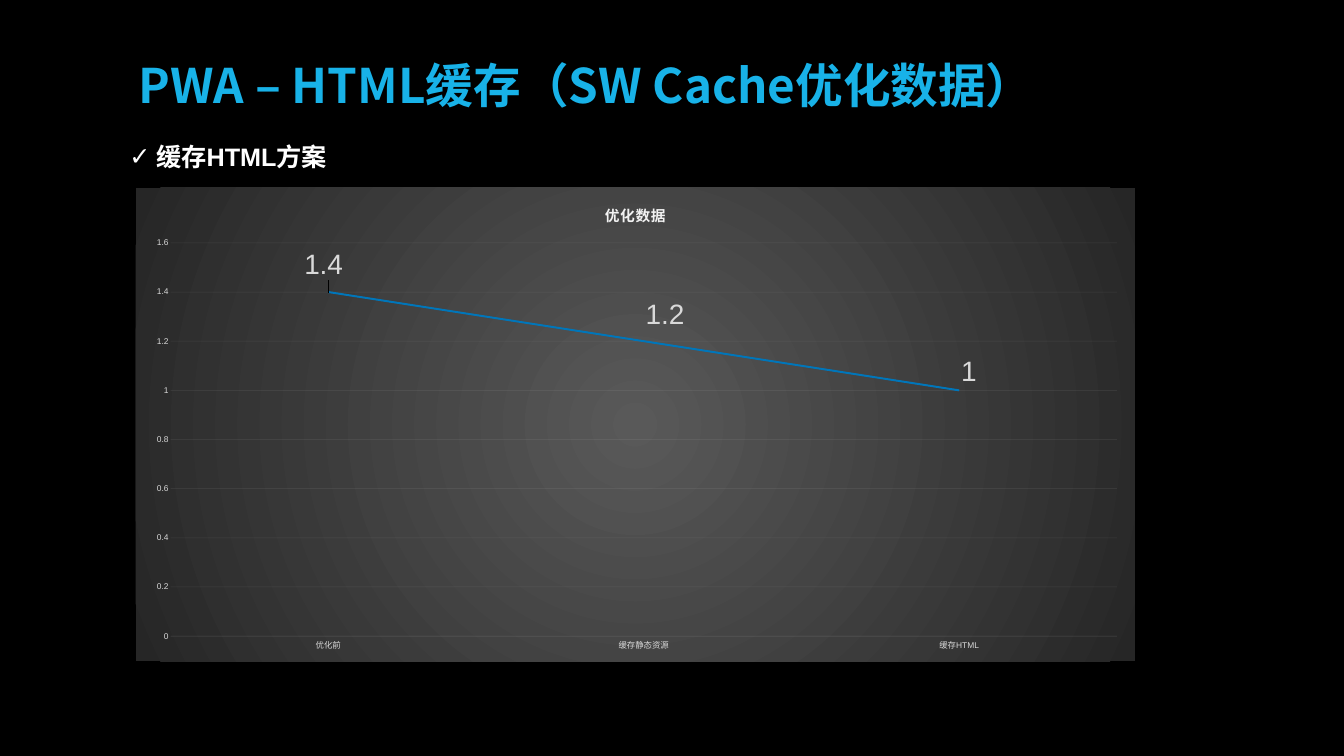
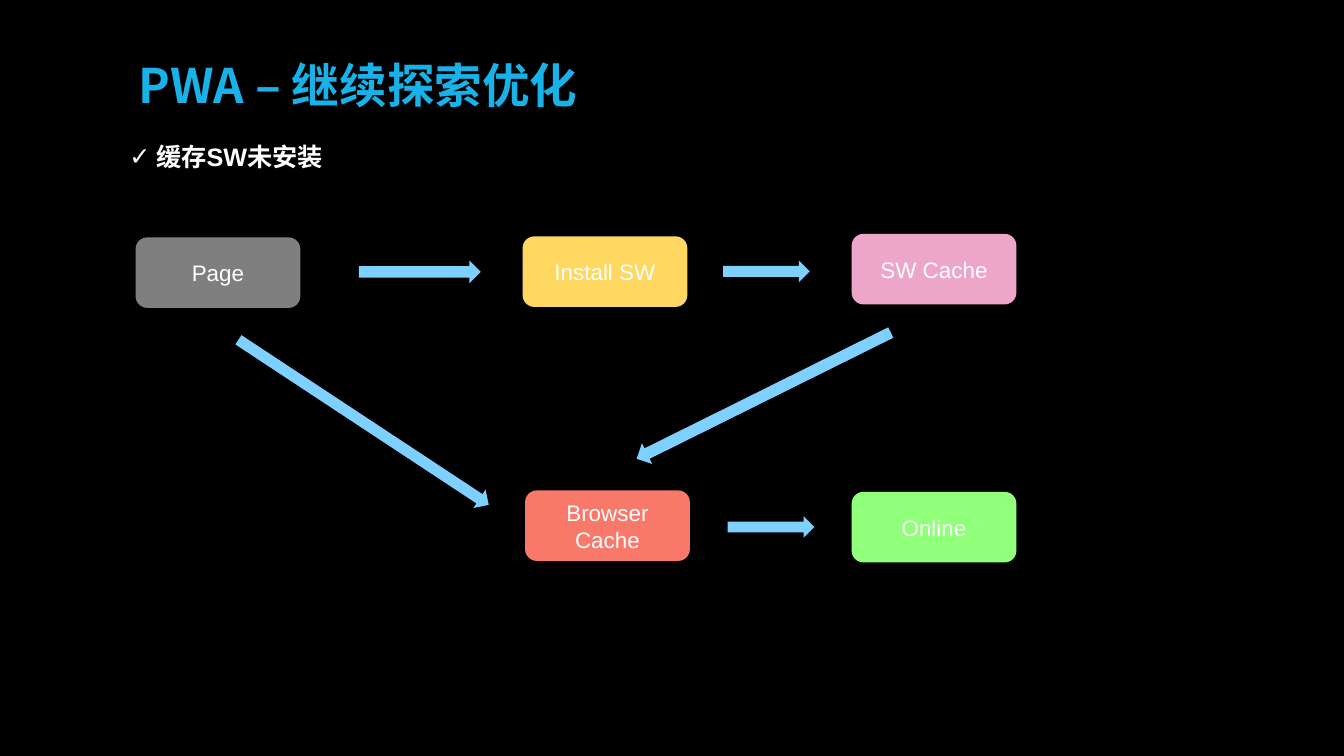
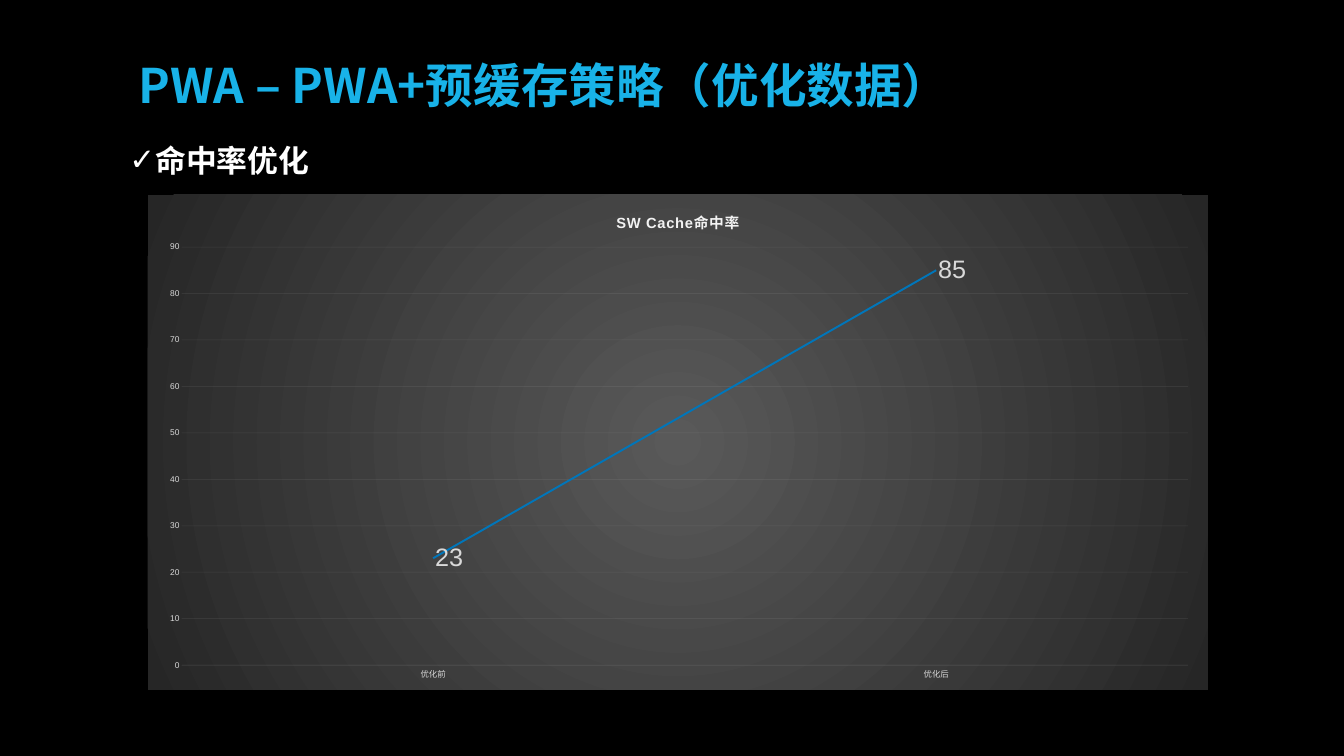
from dataclasses import dataclass

from lxml import etree
from pptx import Presentation
from pptx.chart.data import CategoryChartData
from pptx.dml.color import RGBColor
from pptx.enum.chart import XL_CHART_TYPE, XL_LABEL_POSITION, XL_MARKER_STYLE, XL_TICK_MARK
from pptx.enum.shapes import MSO_SHAPE
from pptx.enum.text import MSO_ANCHOR, MSO_AUTO_SIZE, PP_ALIGN
from pptx.oxml import parse_xml
from pptx.oxml.ns import nsdecls, qn
from pptx.util import Inches, Pt

LINE_CHART = XL_CHART_TYPE.LINE
LABEL_RIGHT = XL_LABEL_POSITION.RIGHT
NO_MARKER = XL_MARKER_STYLE.NONE
NO_TICK = XL_TICK_MARK.NONE
ROUNDED = MSO_SHAPE.ROUNDED_RECTANGLE
ARROW = MSO_SHAPE.RIGHT_ARROW
MIDDLE = MSO_ANCHOR.MIDDLE
GROW = MSO_AUTO_SIZE.SHAPE_TO_FIT_TEXT
CENTER = PP_ALIGN.CENTER

BLACK = "000000"
WHITE = "FFFFFF"
TITLE_BLUE = "18B2E8"
ARROW_BLUE = "7DD0FF"
SERIES_BLUE = "0076BA"
LABEL_GRAY = "D9D9D9"
PALE_GRAY = "F2F2F2"
CHART_CENTER = "595959"
CHART_EDGE = "262626"

TITLE_FONT = "Noto Sans CJK SC"
BODY_FONT = "Arial"
INSET = 0.06
NODE_SIZE = (3.27, 1.4)


@dataclass
class Node:
    text: str
    left: float
    top: float
    color: str


@dataclass
class Arrow:
    left: float
    top: float
    width: float
    height: float
    rotation: float = 0


@dataclass
class LineChart:
    title: str
    box: tuple[float, float, float, float]
    plot_area: tuple[float, float, float, float]
    categories: list[str]
    values: list[float]
    axis_maximum: float
    axis_step: float
    label_size: int
    label_offsets: tuple[tuple[float, float], ...] = ()
    has_trend: bool = False


NODES = [
    Node("Page", 2.69, 4.71, "7F7F7F"),
    Node("Install SW", 10.37, 4.69, "FFD862"),
    Node("SW Cache", 16.9, 4.64, "EDA6CA"),
    Node("Online", 16.9, 9.76, "90FF7A"),
    Node("Browser Cache", 10.42, 9.73, "F8786A"),
]
ARROWS = [
    Arrow(4.24, 8.16, 5.95, 0.44, 33.4),
    Arrow(12.34, 7.62, 5.63, 0.46, 153.6),
    Arrow(14.35, 5.17, 1.72, 0.43),
    Arrow(14.44, 10.24, 1.72, 0.43),
    Arrow(7.12, 5.17, 2.42, 0.45),
]
LOAD_TIME = LineChart(
    "优化数据", (2.69, 3.73, 19.83, 9.39), (0.035, 0.116, 0.947, 0.831),
    ["优化前", "缓存静态资源", "缓存HTML"], [1.4, 1.2, 1], 1.6, 0.2, 40,
    label_offsets=((-0.026, -0.057), (0, -0.055), (0, -0.04)), has_trend=True,
)
HIT_RATE = LineChart(
    "SW Cache命中率", (2.93, 3.86, 21.04, 9.83), (0.032, 0.106, 0.949, 0.844),
    ["优化前", "优化后"], [23, 85], 90, 10, 36,
)


def rgb(color: str) -> RGBColor:
    return RGBColor.from_string(color)


def set_font(font, size: float, color: str, name: str = BODY_FONT, bold: bool = False) -> None:
    font.name = name
    font.size = Pt(size)
    font.bold = bold
    font.color.rgb = rgb(color)


def set_insets(frame) -> None:
    frame.margin_left = frame.margin_right = Inches(INSET)
    frame.margin_top = frame.margin_bottom = Inches(INSET)


def add_text_box(slide, left: float, top: float, width: float, height: float, text: str):
    box = slide.shapes.add_textbox(Inches(left), Inches(top), Inches(width), Inches(height))
    frame = box.text_frame
    frame.word_wrap = True
    frame.text = text
    return frame


def add_title(slide, text: str) -> None:
    frame = add_text_box(slide, 2.69, 1.07, 21.28, 1.43, text)
    set_insets(frame)
    frame.vertical_anchor = MIDDLE
    paragraph = frame.paragraphs[0]
    paragraph.line_spacing = 0.8
    set_font(paragraph.font, 68, TITLE_BLUE, TITLE_FONT, bold=True)


def add_check_item(slide, text: str, size: int, height: float) -> None:
    frame = add_text_box(slide, 2.47, 2.76, 9.45, height, text)
    frame.auto_size = GROW
    paragraph = frame.paragraphs[0]
    properties = paragraph._p.get_or_add_pPr()
    properties.set("marL", str(Inches(0.37)))
    properties.set("indent", str(-Inches(0.37)))
    bullet_color = etree.SubElement(properties, qn("a:buClr"))
    etree.SubElement(bullet_color, qn("a:srgbClr"), val=WHITE)
    etree.SubElement(properties, qn("a:buFont"), typeface=BODY_FONT)
    etree.SubElement(properties, qn("a:buChar"), char="✓")
    set_font(paragraph.font, size, WHITE, bold=True)


def add_filled_shape(slide, kind, left: float, top: float, width: float, height: float, color: str):
    shape = slide.shapes.add_shape(kind, Inches(left), Inches(top), Inches(width), Inches(height))
    shape.shadow.inherit = False
    shape.fill.solid()
    shape.fill.fore_color.rgb = rgb(color)
    shape.line.fill.background()
    return shape


def add_node(slide, node: Node) -> None:
    shape = add_filled_shape(slide, ROUNDED, node.left, node.top, *NODE_SIZE, node.color)
    frame = shape.text_frame
    set_insets(frame)
    frame.word_wrap = True
    frame.vertical_anchor = MIDDLE
    frame.text = node.text
    paragraph = frame.paragraphs[0]
    paragraph.alignment = CENTER
    set_font(paragraph.font, 32, WHITE)


def add_arrow(slide, arrow: Arrow) -> None:
    shape = add_filled_shape(
        slide, ARROW, arrow.left, arrow.top, arrow.width, arrow.height, ARROW_BLUE)
    shape.rotation = arrow.rotation


def manual_layout(inner: str, **fractions: float):
    values = "".join(f'<c:{key} val="{value}"/>' for key, value in fractions.items())
    return parse_xml(f'<c:layout {nsdecls("c")}><c:manualLayout>{inner}{values}'
                     '</c:manualLayout></c:layout>')


def place_plot_area(chart, plot_area: tuple[float, float, float, float]) -> None:
    area = chart.element.xpath("./c:chart/c:plotArea")[0]
    for layout in area.findall(qn("c:layout")):
        area.remove(layout)
    x, y, w, h = plot_area
    inner = ('<c:layoutTarget val="inner"/><c:xMode val="edge"/><c:yMode val="edge"/>')
    area.insert(0, manual_layout(inner, x=x, y=y, w=w, h=h))


def fill_chart_background(chart) -> None:
    """Give the chart area a radial gradient, light in the middle."""
    chart.element.xpath("./c:chart")[0].addnext(parse_xml(
        f'<c:spPr {nsdecls("c", "a")}><a:gradFill><a:gsLst>'
        f'<a:gs pos="0"><a:srgbClr val="{CHART_CENTER}"/></a:gs>'
        f'<a:gs pos="100000"><a:srgbClr val="{CHART_EDGE}"/></a:gs></a:gsLst>'
        '<a:path path="circle"><a:fillToRect l="50000" t="50000" r="50000" b="50000"/></a:path>'
        '</a:gradFill><a:ln><a:noFill/></a:ln></c:spPr>'))


def add_trend_line(chart) -> None:
    chart.element.xpath(".//c:ser/c:cat")[0].addprevious(parse_xml(
        f'<c:trendline {nsdecls("c", "a")}><c:spPr><a:ln w="{Pt(1.5)}"><a:solidFill>'
        f'<a:srgbClr val="{SERIES_BLUE}"/></a:solidFill></a:ln></c:spPr>'
        '<c:trendlineType val="linear"/><c:dispRSqr val="0"/><c:dispEq val="0"/>'
        '</c:trendline>'))


def style_axes(chart, spec_maximum: float, step: float) -> None:
    category_axis, value_axis = chart.category_axis, chart.value_axis
    for axis in (category_axis, value_axis):
        axis.major_tick_mark = axis.minor_tick_mark = NO_TICK
        set_font(axis.tick_labels.font, 12, LABEL_GRAY)
    value_axis.minimum_scale = 0
    value_axis.maximum_scale = spec_maximum
    value_axis.major_unit = step
    value_axis.format.line.fill.background()
    value_axis.has_major_gridlines = True
    for line in (category_axis.format.line, value_axis.major_gridlines.format.line):
        line.width = Pt(0.75)
        line.color.rgb = rgb(PALE_GRAY)
    for color in chart.element.xpath(
            ".//c:majorGridlines//a:srgbClr | .//c:catAx/c:spPr//a:srgbClr"):
        etree.SubElement(color, qn("a:alpha"), val="10000")


def style_series(chart, label_size: int, offsets: tuple[tuple[float, float], ...]) -> None:
    """Style the line and its labels; offsets move single labels by chart fractions."""
    series = chart.plots[0].series[0]
    series.smooth = False
    series.marker.style = NO_MARKER
    series.format.line.width = Pt(2.75)
    series.format.line.color.rgb = rgb(SERIES_BLUE)
    labels = series.data_labels
    labels.show_value = True
    labels.position = LABEL_RIGHT
    set_font(labels.font, label_size, LABEL_GRAY)
    for index in range(len(offsets)):
        label = series.points[index].data_label
        set_font(label.font, label_size, LABEL_GRAY)
        label.position = LABEL_RIGHT
    for element, (x, y) in zip(chart.element.xpath(".//c:dLbl"), offsets):
        element[0].addnext(manual_layout("", x=x, y=y))


def add_line_chart(slide, line_chart: LineChart) -> None:
    data = CategoryChartData()
    data.categories = line_chart.categories
    data.add_series("Series 1", line_chart.values)
    box = [Inches(length) for length in line_chart.box]
    chart = slide.shapes.add_chart(LINE_CHART, *box, data).chart
    chart.has_legend = False
    chart.plots[0].vary_by_categories = False
    set_font(chart.font, 10, WHITE)
    chart.has_title = True
    frame = chart.chart_title.text_frame
    frame.text = line_chart.title
    title_font = frame.paragraphs[0].runs[0].font
    set_font(title_font, 21, PALE_GRAY, bold=True)
    for properties in chart.element.xpath("./c:chart/c:title//a:rPr"):
        properties.set("spc", "100")
    chart.chart_title.include_in_layout = False
    style_axes(chart, line_chart.axis_maximum, line_chart.axis_step)
    style_series(chart, line_chart.label_size, line_chart.label_offsets)
    place_plot_area(chart, line_chart.plot_area)
    fill_chart_background(chart)
    if line_chart.has_trend:
        add_trend_line(chart)


def add_slide(presentation, title: str, item: str, item_size: int = 36, item_height: float = 0.71):
    """Add a black slide with its title and checked heading."""
    slide = presentation.slides.add_slide(presentation.slide_layouts[6])
    slide.background.fill.solid()
    slide.background.fill.fore_color.rgb = rgb(BLACK)
    add_title(slide, title)
    add_check_item(slide, item, item_size, item_height)
    return slide


def main() -> None:
    presentation = Presentation()
    presentation.slide_width = Inches(26.67)
    presentation.slide_height = Inches(15)

    slide = add_slide(presentation, "PWA – HTML缓存（SW Cache优化数据）", " 缓存HTML方案")
    add_line_chart(slide, LOAD_TIME)

    slide = add_slide(presentation, "PWA – 继续探索优化", " 缓存SW未安装")
    for node in NODES:
        add_node(slide, node)
    for arrow in ARROWS:
        add_arrow(slide, arrow)

    slide = add_slide(presentation, "PWA – PWA+预缓存策略（优化数据）", "命中率优化", 44, 0.84)
    add_line_chart(slide, HIT_RATE)

    presentation.save("out.pptx")


if __name__ == "__main__":
    main()
